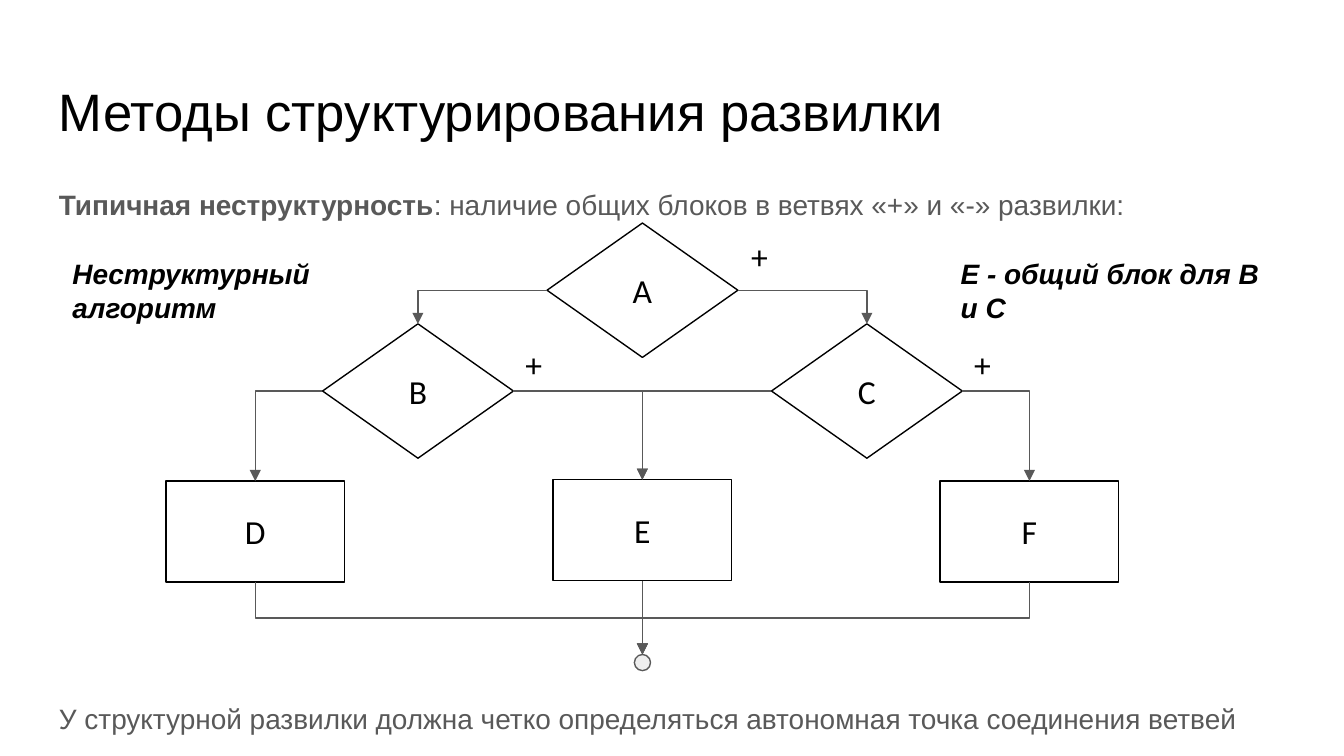
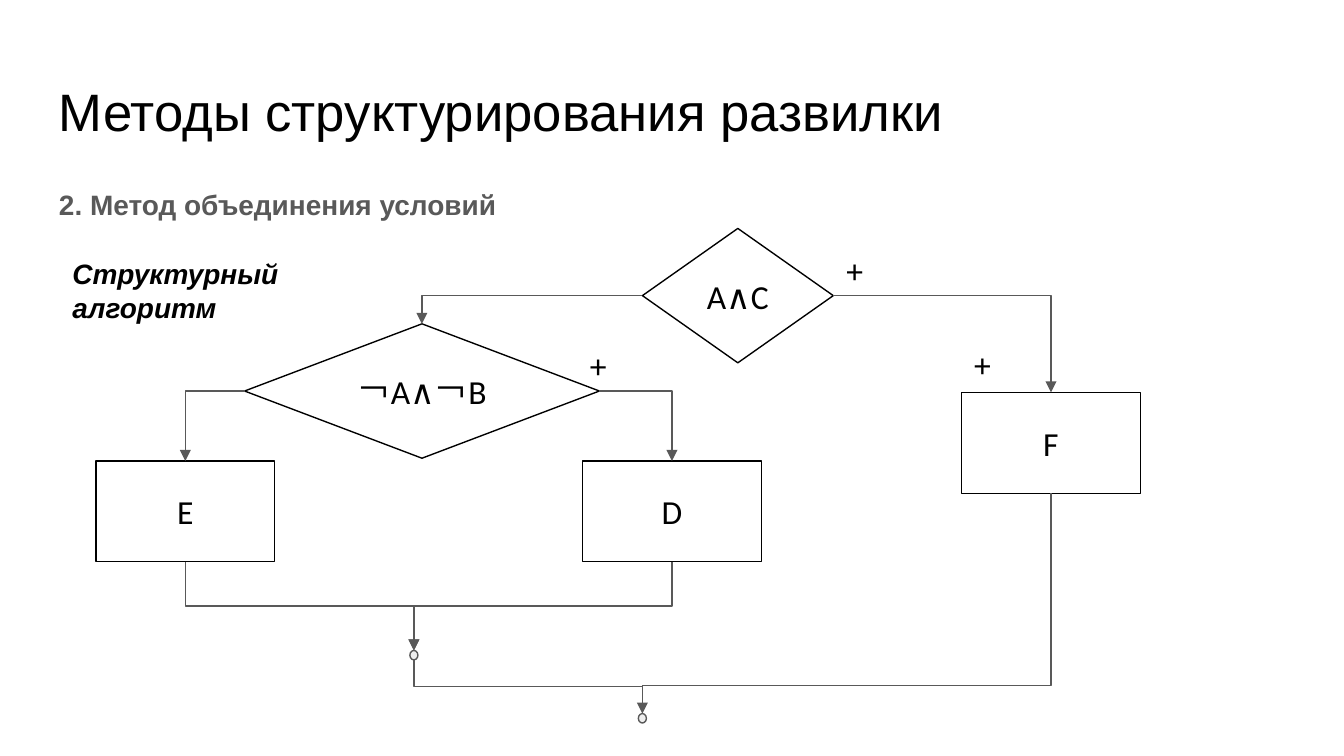
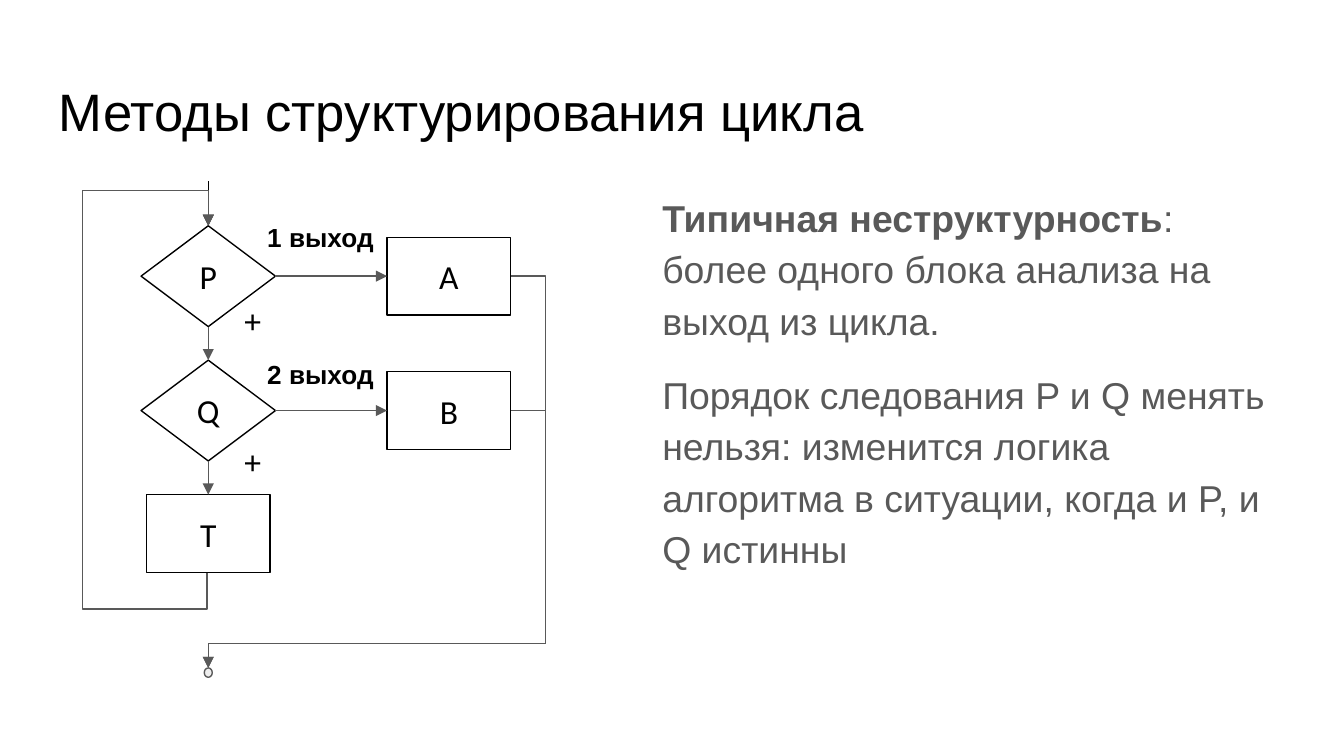
from dataclasses import dataclass

from lxml.etree import SubElement
from pptx import Presentation
from pptx.dml.color import RGBColor
from pptx.enum.shapes import MSO_CONNECTOR, MSO_SHAPE
from pptx.enum.text import MSO_ANCHOR, MSO_AUTO_SIZE, PP_ALIGN
from pptx.oxml.ns import qn
from pptx.util import Inches, Pt

BLACK = RGBColor(0x00, 0x00, 0x00)
WHITE = RGBColor(0xFF, 0xFF, 0xFF)
GRAY = RGBColor(0x59, 0x59, 0x59)
PALE = RGBColor(0xEE, 0xEE, 0xEE)

TITLE = {"name": "Arial", "size": Pt(28.2), "color": BLACK}
BODY = {"name": "Arial", "size": Pt(15), "color": GRAY}
BODY_BOLD = BODY | {"bold": True}
LARGE = BODY | {"size": Pt(20)}
LARGE_BOLD = LARGE | {"bold": True}
REMARK = {"name": "Arial", "size": Pt(15), "color": BLACK, "bold": True, "italic": True}
EXIT = {"name": "Arial", "size": Pt(14), "color": BLACK, "bold": True}
SYMBOL = {"name": "Calibri", "size": Pt(18), "color": BLACK}
BODY_SPACING = {"line_spacing": 1.15, "space_after": Pt(12)}

TOP, LEFT, BOTTOM, RIGHT = range(4)
LINE_WIDTH = Pt(0.75)
DECISION = (1.42, 1)
PROCESS = (1.33, 0.75)
SMALL_DECISION = (1, 0.75)
SMALL_PROCESS = (0.92, 0.58)
SMALL_JOINT = (0.06, 0.07)


@dataclass
class Box:
    left: float
    top: float
    width: float
    height: float

    def inches(self):
        return [Inches(n) for n in (self.left, self.top, self.width, self.height)]

    def inside(self, left, top, width, height):
        """Box of the given size, offset from this one's corner."""
        return Box(self.left + left, self.top + top, width, height)

    def centered(self, center, top, size):
        return self.inside(center - size[0] / 2, top, *size)


TITLE_BOX = Box(0.34, 0.49, 9.32, 0.63)
INTRO_BOX = Box(0.34, 1.26, 9.32, 0.4)
OUTRO_BOX = Box(0.34, 5.08, 9.32, 0.4)
REMARK_BOX = Box(0.44, 1.86, 2.06, 0.61)


def add_para(para, spans, spacing):
    for name, value in spacing.items():
        setattr(para, name, value)
    for text, style in spans:
        span = para.add_run()
        span.text = text
        for name, value in style.items():
            if name == "color":
                span.font.color.rgb = value
            else:
                setattr(span.font, name, value)


def add_text(page, box, *paras, inset=0.05, grow=True):
    """Each para is a pair: its spans and its spacing."""
    frame = page.shapes.add_textbox(*box.inches()).text_frame
    frame.word_wrap = True
    if grow:
        frame.auto_size = MSO_AUTO_SIZE.SHAPE_TO_FIT_TEXT
    frame.margin_top = frame.margin_bottom = Inches(inset)
    for index, (spans, spacing) in enumerate(paras):
        para = frame.add_paragraph() if index else frame.paragraphs[0]
        add_para(para, spans, spacing)


def add_body(page, box, *spans):
    add_text(page, box, (spans, BODY_SPACING), inset=0.1, grow=False)


def add_label(page, box, text, style=SYMBOL, **spacing):
    add_text(page, box, ([(text, style)], spacing))


def add_node(page, kind, box, fill=WHITE, line=BLACK):
    node = page.shapes.add_shape(kind, *box.inches())
    node.shadow.inherit = False
    node.fill.solid()
    node.fill.fore_color.rgb = fill
    node.line.color.rgb = line
    node.line.width = LINE_WIDTH
    return node


def add_block(page, kind, text, box):
    block = add_node(page, kind, box)
    frame = block.text_frame
    frame.word_wrap = True
    frame.vertical_anchor = MSO_ANCHOR.MIDDLE
    add_para(frame.paragraphs[0], [(text, SYMBOL)], {"alignment": PP_ALIGN.CENTER})
    return block


def add_decision(page, text, box):
    return add_block(page, MSO_SHAPE.FLOWCHART_DECISION, text, box)


def add_process(page, text, box):
    return add_block(page, MSO_SHAPE.FLOWCHART_PROCESS, text, box)


def add_joint(page, box):
    return add_node(page, MSO_SHAPE.OVAL, box, PALE, GRAY)


def port(shape, side):
    """Middle of a shape's side, in inches."""
    across, down = {TOP: (0.5, 0), LEFT: (0, 0.5), BOTTOM: (0.5, 1), RIGHT: (1, 0.5)}[side]
    return ((shape.left + across * shape.width) / Inches(1),
            (shape.top + down * shape.height) / Inches(1))


def add_line(page, kind, start, end, color=GRAY, head=True):
    line = page.shapes.add_connector(kind, *[Inches(n) for n in (*start, *end)])
    line.line.color.rgb = color
    line.line.width = LINE_WIDTH
    properties = line._element.spPr
    if head:
        SubElement(properties.find(qn("a:ln")), qn("a:tailEnd"), type="triangle")
    SubElement(properties, qn("a:effectLst"))
    return line


def join(page, first, side, second, other_side):
    arrow = add_line(page, MSO_CONNECTOR.STRAIGHT, port(first, side), port(second, other_side))
    arrow.begin_connect(first, side)
    arrow.end_connect(second, other_side)


def add_elbow(page, start, end, bends=(), down=False, head=True):
    """Bends are the coordinates of the inner segments, x and y in turn.

    With down set, the route leaves vertically and y comes first.
    """
    span = [end[axis] - start[axis] for axis in (0, 1)]
    turn = 0
    begin, finish = start, end
    if down:
        turn = -1 if span[0] > 0 else 1
        middle = [(a + b) / 2 for a, b in zip(start, end)]
        half = (turn * span[1] / 2, -turn * span[0] / 2)
        begin = [m - h for m, h in zip(middle, half)]
        finish = [m + h for m, h in zip(middle, half)]
    elbow = add_line(page, MSO_CONNECTOR.ELBOW, begin, finish, head=head)
    properties = elbow._element.spPr
    if turn:
        properties.find(qn("a:xfrm")).set("rot", str(turn * 90 % 360 * 60000))
    geometry = properties.find(qn("a:prstGeom"))
    geometry.set("prst", f"bentConnector{len(bends) + 2}")
    guides = geometry.get_or_add_avLst()
    for index, bend in enumerate(bends):
        axis = (index + down) % 2
        share = round((bend - start[axis]) / span[axis] * 100000)
        SubElement(guides, qn("a:gd"), name=f"adj{index + 1}", fmla=f"val {share}")


def branch(page, decision, side, target):
    add_elbow(page, port(decision, side), port(target, TOP))


def merge(page, block, joint, level, head=True):
    add_elbow(page, port(block, BOTTOM), port(joint, TOP), (level,), down=True, head=head)


def add_page(deck, title):
    page = deck.slides.add_slide(deck.slide_layouts[6])
    add_text(page, TITLE_BOX, ([(title, TITLE)], {}), inset=0.1, grow=False)
    return page


def shared_block_chart(page, box):
    middle, near, far = box.width / 2, 1.67, 2.88
    a = add_decision(page, "A", box.centered(middle, 0, DECISION))
    b = add_decision(page, "B", box.centered(middle - near, 0.75, DECISION))
    c = add_decision(page, "C", box.centered(middle + near, 0.75, DECISION))
    d = add_process(page, "D", box.centered(middle - far, 1.92, PROCESS))
    e = add_process(page, "E", box.centered(middle, 1.91, PROCESS))
    f = add_process(page, "F", box.centered(middle + far, 1.92, PROCESS))
    joint = add_joint(page, box.centered(middle, 3.21, (0.12, 0.12)))
    for left, top, width in ((4.25, 0.05, 0.44), (2.57, 0.85, 0.52), (5.91, 0.85, 0.52)):
        add_label(page, box.inside(left, top, width, 0.4), "+")
    for decision, side, target in ((a, LEFT, b), (a, RIGHT, c), (b, LEFT, d),
                                   (b, RIGHT, e), (c, LEFT, e), (c, RIGHT, f)):
        branch(page, decision, side, target)
    for block in (d, f):
        merge(page, block, joint, box.top + 2.94)
    join(page, e, BOTTOM, joint, TOP)


def joined_conditions_chart(page, box):
    outer = add_decision(page, "A∧C", box.centered(4.78, 0, DECISION))
    inner = add_decision(page, "￢A∧￢B", box.centered(2.43, 0.71, (2.64, 1)))
    e = add_process(page, "E", box.centered(0.67, 1.73, PROCESS))
    d = add_process(page, "D", box.centered(4.29, 1.73, PROCESS))
    f = add_process(page, "F", box.centered(7.11, 1.22, PROCESS))
    inner_joint = add_joint(page, box.centered(2.37, 3.14, SMALL_JOINT))
    outer_joint = add_joint(page, box.centered(4.07, 3.61, SMALL_JOINT))
    for left, top, width in ((5.49, 0.11, 0.44), (3.58, 0.82, 0.52), (6.44, 0.81, 0.52)):
        add_label(page, box.inside(left, top, width, 0.4), "+")
    for decision, side, target in ((outer, LEFT, inner), (outer, RIGHT, f),
                                   (inner, LEFT, e), (inner, RIGHT, d)):
        branch(page, decision, side, target)
    for block in (e, d):
        merge(page, block, inner_joint, box.top + 2.81)
    merge(page, f, outer_joint, box.top + 3.4)
    merge(page, inner_joint, outer_joint, box.top + 3.41, head=False)


def two_exit_loop_chart(page, box):
    axis, first, step = 0.95, 0.33, 1
    inset = (SMALL_DECISION[1] - SMALL_PROCESS[1]) / 2
    joint = add_joint(page, box.centered(axis, 3.62, SMALL_JOINT))
    decisions = []
    for row, (condition, action) in enumerate((("P", "A"), ("Q", "B"))):
        top = first + row * step
        decision = add_decision(page, condition, box.centered(axis, top, SMALL_DECISION))
        block = add_process(page, action, box.centered(2.74, top + inset, SMALL_PROCESS))
        add_label(page, box.inside(1.29, 0.29 + row * 1.02, 1.04, 0.29), f"{row + 1} выход",
                  EXIT, line_spacing=0.8)
        add_label(page, box.inside(1.12, 0.83 + row * 1.05, 0.29, 0.4), "+")
        join(page, decision, RIGHT, block, LEFT)
        add_elbow(page, port(block, RIGHT), port(joint, TOP),
                  (box.left + box.width, box.top + 3.44))
        decisions.append(decision)
    p, q = decisions
    t = add_process(page, "T", box.centered(axis, first + 2 * step, SMALL_PROCESS))
    join(page, p, BOTTOM, q, TOP)
    join(page, q, BOTTOM, t, TOP)
    entry = port(p, TOP)
    add_line(page, MSO_CONNECTOR.STRAIGHT, (entry[0], box.top), entry, BLACK)
    x, y = port(t, BOTTOM)
    # The bends are shares of the width, so the route needs a width above zero.
    add_elbow(page, (x - 0.01, y), entry, (box.top + 3.18, box.left, box.top + 0.07), down=True)


def shared_block_page(deck):
    page = add_page(deck, "Методы структурирования развилки")
    add_body(page, INTRO_BOX, ("Типичная неструктурность", BODY_BOLD),
             (": наличие общих блоков в ветвях «+» и «-» развилки:", BODY))
    add_body(page, OUTRO_BOX, ("У структурной развилки должна четко определяться "
                               "автономная точка соединения ветвей", BODY))
    shared_block_chart(page, Box(1.24, 1.66, 7.08, 3.33))
    add_label(page, REMARK_BOX, "Неструктурный алгоритм", REMARK)
    add_label(page, Box(7.05, 1.86, 2.6, 0.61), "E - общий блок для B и С", REMARK)


def joined_conditions_page(deck):
    page = add_page(deck, "Методы структурирования развилки")
    add_body(page, INTRO_BOX, ("2. Метод объединения условий", BODY_BOLD))
    joined_conditions_chart(page, Box(0.71, 1.7, 7.77, 3.68))
    add_label(page, REMARK_BOX, "Структурный алгоритм", REMARK)


def loop_page(deck):
    page = add_page(deck, "Методы структурирования цикла")
    problem = [("Типичная неструктурность", LARGE_BOLD),
               (": более одного блока анализа на выход из цикла.", LARGE)]
    order = [("Порядок следования P и Q менять нельзя: изменится логика алгоритма "
              "в ситуации, когда и P, и Q истинны", LARGE)]
    add_text(page, Box(4.83, 1.35, 4.83, 2.93), (problem, {"line_spacing": 1.15}),
             (order, BODY_SPACING | {"space_before": Pt(12)}))
    two_exit_loop_chart(page, Box(0.6, 1.35, 3.46, 3.69))


def main():
    deck = Presentation()
    deck.slide_width = Inches(10)
    deck.slide_height = deck.slide_width * 9 // 16
    shared_block_page(deck)
    joined_conditions_page(deck)
    loop_page(deck)
    deck.save("out.pptx")


if __name__ == "__main__":
    main()
